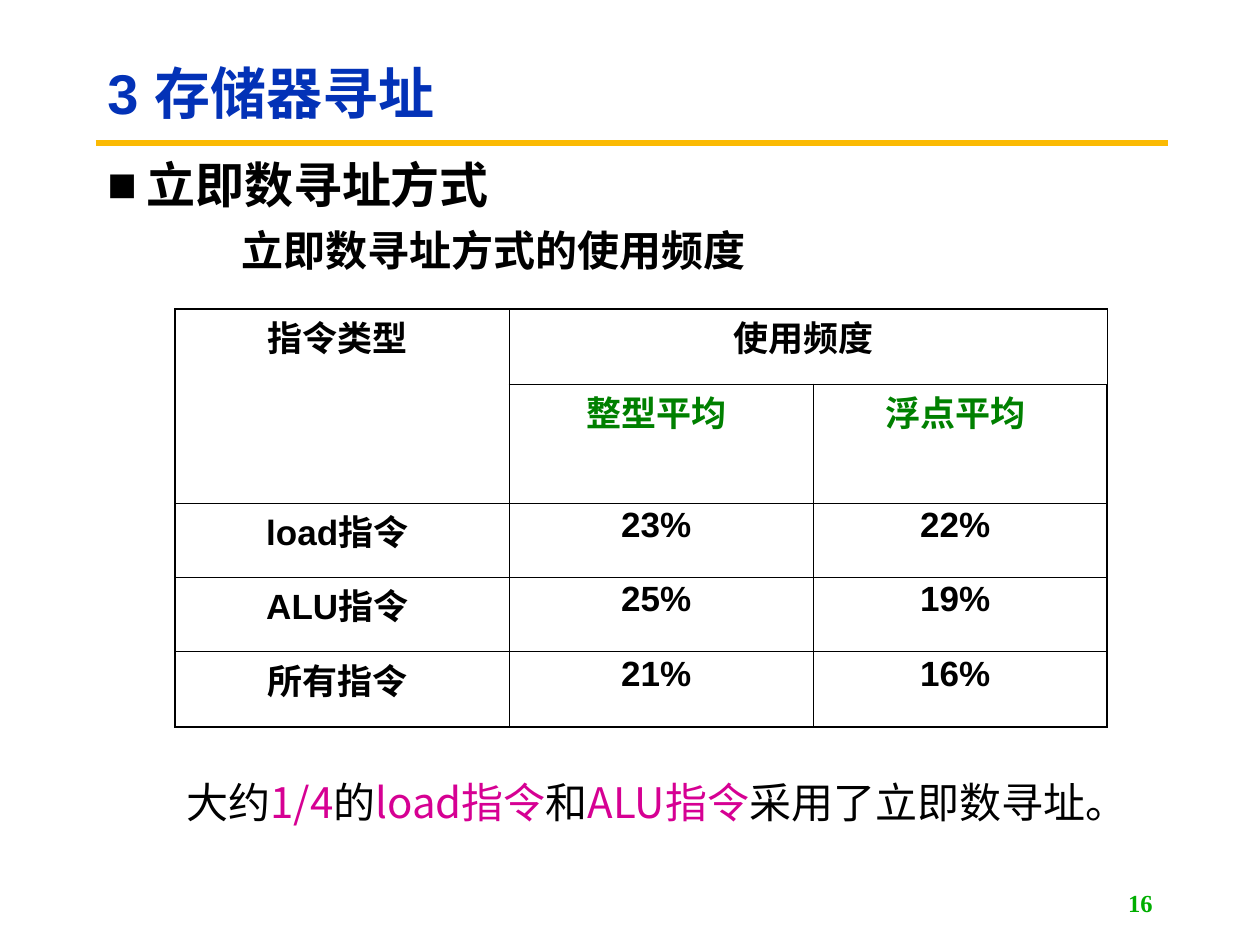
from lxml.etree import SubElement
from pptx import Presentation
from pptx.dml.color import RGBColor
from pptx.enum.shapes import MSO_CONNECTOR
from pptx.enum.text import MSO_ANCHOR, PP_ALIGN
from pptx.oxml.ns import qn
from pptx.util import Emu, Pt

EMU_PER_PX = 914400 / 126
COLORS = {"title": "0332B7", "rule": "FBBA03", "ink": "000000",
          "average": "008000", "accent": "D60093", "number": "00AE00"}
CJK_FONT = "Noto Sans CJK SC"
HEADER = {"size": Pt(20), "bold": True}
TIGHT = {"line_spacing": 0.9, "space_before": Pt(7.5)}


def px(length):
    return Emu(round(length * EMU_PER_PX))


def set_all(target, values):
    for name, value in values.items():
        setattr(target, name, value)


def add_span(para, text, color, font="Arial", **values):
    span = para.add_run()
    span.text = text
    set_all(span.font, {"name": font, **values})
    span.font.color.rgb = RGBColor.from_string(COLORS[color])
    SubElement(span.font._element, qn("a:ea"), typeface=CJK_FONT)


def add_text_box(page, left, top, width, height, anchor=MSO_ANCHOR.TOP):
    box = page.shapes.add_textbox(px(left), px(top), px(width), px(height))
    set_all(box.text_frame, {"word_wrap": True, "vertical_anchor": anchor})
    return box.text_frame


def set_indent(para, margin, first_line=0, bullet=None):
    properties = para._p.get_or_add_pPr()
    properties.set("marL", str(px(margin)))
    properties.set("indent", str(px(first_line)))
    if bullet:
        SubElement(properties, qn("a:buFont"), typeface="Arial")
        SubElement(properties, qn("a:buChar"), char=bullet)


def add_title(page, left, top, width, height):
    # Rule under the title
    rule_left, rule_top = px(left + 1), px(top + 98)
    rule = page.shapes.add_connector(MSO_CONNECTOR.STRAIGHT, rule_left, rule_top,
                                     rule_left + px(1072), rule_top)
    rule.line.width = Pt(3.75)
    rule.line.color.rgb = RGBColor.from_string(COLORS["rule"])
    SubElement(rule._element.spPr, qn("a:effectLst"))
    # Title text
    para = add_text_box(page, left, top, width, height, MSO_ANCHOR.MIDDLE).paragraphs[0]
    para.line_spacing = 0.9
    add_span(para, "3 存储器寻址", "title", size=Pt(32), bold=True)


def add_headings(page, left, top, width, height):
    frame = add_text_box(page, left, top, width, height)
    topic, caption = frame.paragraphs[0], frame.add_paragraph()
    set_all(topic, {"line_spacing": 0.9, "space_before": Pt(10.5)})
    set_indent(topic, 39, -39, "■")
    add_span(topic, "立即数寻址方式", "ink", size=Pt(28), bold=True)
    set_all(caption, {"line_spacing": 0.9, "space_before": Pt(9)})
    set_indent(caption, 134)
    add_span(caption, "立即数寻址方式的使用频度", "ink", size=Pt(24), bold=True)


def set_borders(cell, widths):
    properties = cell._tc.get_or_add_tcPr()
    for index, (side, width) in enumerate(widths.items()):
        line = properties.makeelement(qn(f"a:ln{side}"), {"w": str(Pt(width))})
        fill = SubElement(line, qn("a:solidFill"))
        SubElement(fill, qn("a:srgbClr"), val=COLORS["ink"])
        properties.insert(index, line)


def add_frequency_table(page, left, top):
    widths, heights = [334, 304, 294], [75, 119, 74, 75, 75]
    rows = [["指令类型", "使用频度", ""],
            ["", "整型平均", "浮点平均"],
            ["load指令", "23%", "22%"],
            ["ALU指令", "25%", "19%"],
            ["所有指令", "21%", "16%"]]
    table = page.shapes.add_table(len(rows), len(widths), px(left), px(top),
                                  px(sum(widths)), px(sum(heights))).table
    set_all(table, {"first_row": False, "horz_banding": False})
    for column, width in zip(table.columns, widths):
        column.width = px(width)
    for row, height in zip(table.rows, heights):
        row.height = px(height)
    table.cell(0, 0).merge(table.cell(1, 0))
    table.cell(0, 1).merge(table.cell(0, 2))

    last_row, last_column = len(rows) - 1, len(widths) - 1
    for r, texts in enumerate(rows):
        for c, text in enumerate(texts):
            cell = table.cell(r, c)
            cell.fill.background()
            # The outer frame is heavier than the inner grid
            outer = {"L": c == 0, "R": c == last_column, "T": r == 0, "B": r == last_row}
            set_borders(cell, {side: 1.08 if edge else 0.45 for side, edge in outer.items()})
            if text:
                cell.margin_right = px(22)
                para = cell.text_frame.paragraphs[0]
                set_all(para, {"alignment": PP_ALIGN.CENTER, **TIGHT})
                add_span(para, text, "average" if r == 1 else "ink", **HEADER)


def add_conclusion(page, left, top, width, height):
    para = add_text_box(page, left, top, width, height).paragraphs[0]
    para.space_before = Pt(16.2)
    for text, color in [("大约", "ink"), ("1/4", "accent"), ("的", "ink"),
                        ("load指令", "accent"), ("和", "ink"),
                        ("ALU指令", "accent"), ("采用了立即数寻址。", "ink")]:
        add_span(para, text, color, CJK_FONT, size=Pt(24))


def add_page_number(page, left, top, width, height):
    para = add_text_box(page, left, top, width, height, MSO_ANCHOR.MIDDLE).paragraphs[0]
    para.alignment = PP_ALIGN.RIGHT
    add_span(para, "16", "number", "Times New Roman", size=Pt(14), bold=True)


def main():
    deck = Presentation()
    set_all(deck, {"slide_width": px(1260), "slide_height": px(945)})
    page = deck.slides.add_slide(deck.slide_layouts[6])
    add_title(page, 95, 45, 1005, 102)
    add_page_number(page, 903, 883, 262, 40)
    add_headings(page, 95, 155, 1101, 149)
    add_frequency_table(page, 175, 309)
    add_conclusion(page, 174, 770, 953, 118)
    deck.save("out.pptx")


if __name__ == "__main__":
    main()
